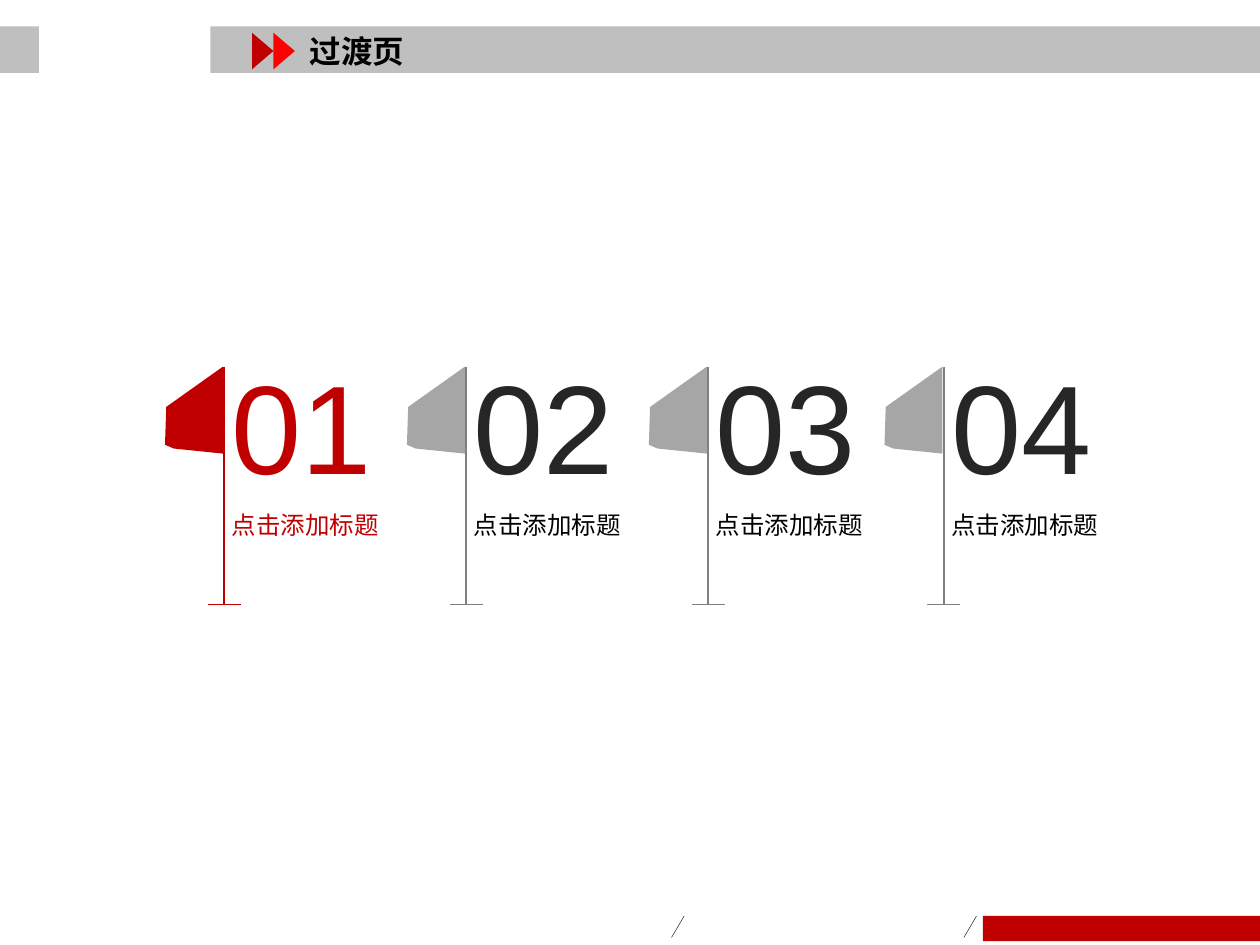
from dataclasses import dataclass

import pptx
import pptx.dml.color
import pptx.enum.shapes
import pptx.enum.text
import pptx.oxml.ns
import pptx.util
from lxml import etree

Inches = pptx.util.Inches
Shape = pptx.enum.shapes.MSO_SHAPE
Anchor = pptx.enum.text.MSO_ANCHOR
AutoSize = pptx.enum.text.MSO_AUTO_SIZE

RED = "C00000"
BAR_GRAY = "BFBFBF"
LATIN = "Arial"
CHINESE = "Noto Sans CJK SC"
FLAG_OUTLINE = [(-0.47, 3.53), (-0.46, 3.23), (-0.01, 2.91),
                (-0.01, 3.6), (-0.4, 3.56)]


@dataclass
class Block:
    left: float
    top: float
    width: float
    height: float
    color: str
    kind: Shape = Shape.RECTANGLE
    rotation: float = 0


@dataclass
class Flag:
    number: str
    pole: float
    cloth: str = "A6A6A6"
    line: str = "808080"
    number_color: str = "262626"
    title_color: str = "000000"


BLOCKS = [
    Block(7.8, 7.27, 2.2, 0.2, RED),
    Block(1.67, 0.21, 8.33, 0.37, BAR_GRAY),
    Block(0, 0.21, 0.31, 0.37, BAR_GRAY),
    Block(2.11, 0.32, 0.29, 0.17, "FF0000", Shape.ISOSCELES_TRIANGLE, 90),
    Block(1.94, 0.32, 0.29, 0.17, RED, Shape.ISOSCELES_TRIANGLE, 90),
]
FLAGS = [
    Flag("01", 1.78, RED, RED, RED, RED),
    Flag("02", 3.7),
    Flag("03", 5.62),
    Flag("04", 7.49),
]


def rgb(color: str) -> pptx.dml.color.RGBColor:
    return pptx.dml.color.RGBColor.from_string(color)


def paint(shape, color: str) -> None:
    shape.shadow.inherit = False
    shape.fill.solid()
    shape.fill.fore_color.rgb = rgb(color)
    shape.line.fill.background()


def draw_block(page, block: Block) -> None:
    shape = page.shapes.add_shape(
        block.kind, Inches(block.left), Inches(block.top),
        Inches(block.width), Inches(block.height))
    shape.rotation = block.rotation
    paint(shape, block.color)


def draw_line(page, x1: float, y1: float, x2: float, y2: float,
              color: str, weight: float) -> None:
    line = page.shapes.add_connector(
        pptx.enum.shapes.MSO_CONNECTOR.STRAIGHT,
        Inches(x1), Inches(y1), Inches(x2), Inches(y2))
    line.line.color.rgb = rgb(color)
    line.line.width = pptx.util.Pt(weight)
    etree.SubElement(line.element.spPr, pptx.oxml.ns.qn("a:effectLst"))


def draw_text(page, left: float, top: float, width: float, height: float,
              text: str, size: float, font: str, color: str):
    box = page.shapes.add_textbox(
        Inches(left), Inches(top), Inches(width), Inches(height))
    frame = box.text_frame
    frame.text = text
    frame.word_wrap = False
    frame.auto_size = AutoSize.SHAPE_TO_FIT_TEXT
    span = frame.paragraphs[0].runs[0]
    span.font.size = pptx.util.Pt(size)
    span.font.name = font
    span.font.color.rgb = rgb(color)
    properties = span._r.get_or_add_rPr()
    etree.SubElement(properties, pptx.oxml.ns.qn("a:ea"), typeface=font)
    return box


def draw_heading(page) -> None:
    box = draw_text(page, 2.36, 0.13, 1.32, 0.55,
                    "过渡页", 18, CHINESE, "000000")
    frame = box.text_frame
    frame.word_wrap = True
    frame.auto_size = AutoSize.NONE
    frame.vertical_anchor = Anchor.MIDDLE
    frame.paragraphs[0].runs[0].font.bold = True


def draw_flag(page, flag: Flag) -> None:
    left = flag.pole - 0.04
    draw_text(page, left, 2.72, 1.4, 1.31,
              flag.number, 72, LATIN, flag.number_color)
    draw_text(page, left, 4, 1.38, 0.34,
              "点击添加标题", 14, CHINESE, flag.title_color)
    draw_line(page, flag.pole, 2.91, flag.pole, 4.8, flag.line, 1)
    points = [(Inches(flag.pole + x), Inches(y)) for x, y in FLAG_OUTLINE]
    builder = page.shapes.build_freeform(*points[0])
    builder.add_line_segments(points[1:], close=True)
    paint(builder.convert_to_shape(), flag.cloth)
    draw_line(page, flag.pole - 0.13, 4.8, flag.pole + 0.13, 4.8,
              flag.line, 0.75)


def main() -> None:
    deck = pptx.Presentation()
    deck.slide_width = Inches(10)
    deck.slide_height = Inches(7.5)
    page = deck.slides.add_slide(deck.slide_layouts[6])
    for block in BLOCKS:
        draw_block(page, block)
    for right in (7.75, 5.43):
        draw_line(page, right, 7.27, right - 0.1, 7.44, "0D0D0D", 0.25)
    draw_heading(page)
    for flag in FLAGS:
        draw_flag(page, flag)
    deck.save("out.pptx")


if __name__ == "__main__":
    main()
